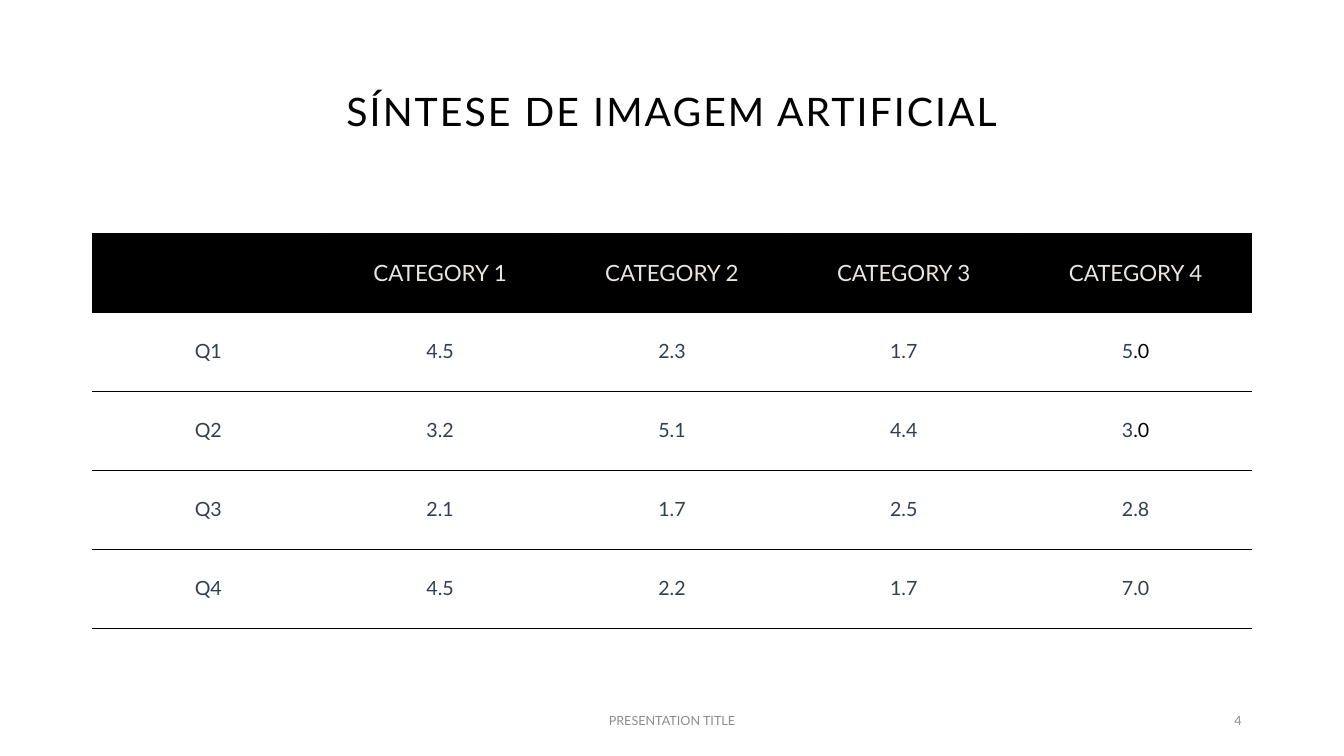
"""Build a slide with a quarterly table of four categories."""
from lxml.etree import SubElement
from pptx import Presentation
from pptx.dml.color import RGBColor
from pptx.enum.text import MSO_ANCHOR, PP_ALIGN
from pptx.oxml.ns import qn
from pptx.util import Cm, Pt

TITLE = "SÍNTESE DE IMAGEM ARTIFICIAL"
HEADER = ["", "CATEGORY 1", "CATEGORY 2", "CATEGORY 3", "CATEGORY 4"]
QUARTERS = [
    ["Q1", "4.5", "2.3", "1.7", ("5", ".0")],
    ["Q2", "3.2", "5.1", "4.4", ("3", ".0")],
    ["Q3", "2.1", "1.7", "2.5", "2.8"],
    ["Q4", "4.5", "2.2", "1.7", "7.0"],
]
FOOTERS = [
    ("PRESENTATION TITLE", 11.22, 11.43, PP_ALIGN.CENTER),
    ("4", 23.92, 7.62, PP_ALIGN.RIGHT),
]

FONT = "Lato"
BLACK = RGBColor(0x00, 0x00, 0x00)
CREAM = RGBColor(0xE9, 0xE6, 0xDF)
SLATE = RGBColor(0x33, 0x3F, 0x50)
GRAY = RGBColor(0x8C, 0x8C, 0x8C)

LEFT, WIDTH = Cm(2.33), Cm(29.21)
TABLE_TOP, ROW_HEIGHT = Cm(5.87), Cm(1.99)
FOOTER_TOP, FOOTER_HEIGHT = Cm(17.65), Cm(1.02)


def add_span(para, text, size, color):
    span = para.add_run()
    span.text = text
    span.font.name = FONT
    span.font.size = Pt(size)
    span.font.bold = False
    span.font.color.rgb = color
    return span


def set_borders(cell, ruled):
    properties = cell._tc.get_or_add_tcPr()
    for side in ("L", "R", "T", "B"):
        line = SubElement(properties, qn(f"a:ln{side}"), w=str(Pt(0.5)))
        if side in ruled:
            fill = SubElement(line, qn("a:solidFill"))
            SubElement(fill, qn("a:srgbClr"), val=str(BLACK))
        else:
            SubElement(line, qn("a:noFill"))


def add_title(page):
    title = page.shapes.title
    title.left, title.top, title.width, title.height = LEFT, Cm(1.02), WIDTH, Cm(3.68)
    title.text_frame.vertical_anchor = MSO_ANCHOR.MIDDLE
    para = title.text_frame.paragraphs[0]
    para.alignment = PP_ALIGN.CENTER
    para.line_spacing = 0.9
    span = add_span(para, TITLE, 28, BLACK)
    span.font._element.set("spc", "150")


def add_quarter_table(page):
    rows = [HEADER, *QUARTERS]
    frame = page.shapes.add_table(len(rows), len(HEADER), LEFT, TABLE_TOP,
                                  WIDTH, ROW_HEIGHT * len(rows))
    table = frame.table
    table.horz_banding = False
    for row_index, row in enumerate(rows):
        is_header = row_index == 0
        size, color = (16, CREAM) if is_header else (14, SLATE)
        for column_index, value in enumerate(row):
            cell = table.cell(row_index, column_index)
            set_borders(cell, "LRTB" if is_header else "TB")
            if is_header:
                cell.fill.solid()
                cell.fill.fore_color.rgb = BLACK
            else:
                cell.fill.background()
            cell.vertical_anchor = MSO_ANCHOR.MIDDLE
            para = cell.text_frame.paragraphs[0]
            para.alignment = PP_ALIGN.CENTER
            parts = value if isinstance(value, tuple) else (value,)
            for text, part_color in zip(parts, (color, BLACK)):
                if text:
                    add_span(para, text, size, part_color)


def add_footers(page):
    for text, left, width, alignment in FOOTERS:
        box = page.shapes.add_textbox(Cm(left), FOOTER_TOP, Cm(width), FOOTER_HEIGHT)
        box.text_frame.word_wrap = True
        box.text_frame.vertical_anchor = MSO_ANCHOR.MIDDLE
        para = box.text_frame.paragraphs[0]
        para.alignment = alignment
        add_span(para, text, 9, GRAY)


def main():
    deck = Presentation()
    deck.slide_width, deck.slide_height = Cm(33.87), Cm(19.05)
    page = deck.slides.add_slide(deck.slide_layouts[5])
    add_title(page)
    add_quarter_table(page)
    add_footers(page)
    deck.save("out.pptx")


if __name__ == "__main__":
    main()
